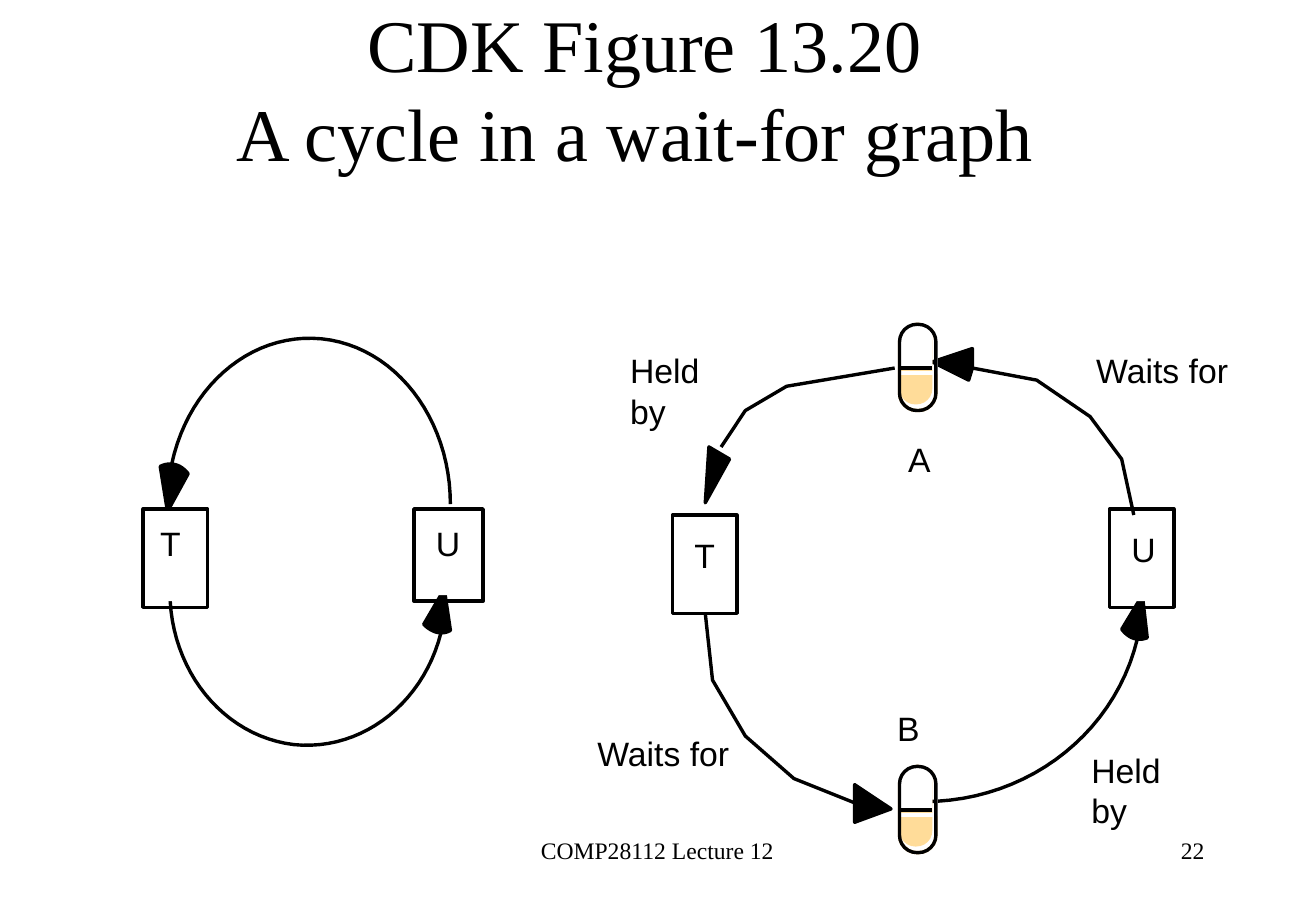
import pptx
import pptx.util
import pptx.dml.color
import pptx.enum.shapes
import pptx.enum.text
import pptx.oxml

Inches = pptx.util.Inches
Kind = pptx.enum.shapes.MSO_SHAPE
Align = pptx.enum.text.PP_ALIGN
Anchor = pptx.enum.text.MSO_ANCHOR

COLOURS = {"ink": "000000", "paper": "FFFFFF", "liquid": "FFDC99"}
LINE_WIDTH = 2
CURVE_STEPS = 24

# Page text: text, (left, top, width, height), size, alignment, anchor
PAGE_TEXT = [
    ("CDK Figure 13.20\vA cycle in a wait-for graph ", (0.45, 0.36, 9.72, 1.14), 44,
     Align.CENTER, Anchor.BOTTOM),
    ("COMP28112 Lecture 12", (3.7, 6.83, 3.43, 0.5), 14, Align.CENTER, Anchor.TOP),
    ("22", (7.76, 6.83, 2.26, 0.5), 14, Align.RIGHT, Anchor.TOP),
]

# Diagram labels: text, left, top, width
LABELS = [
    ("Held by", 5.19, 2.88, 0.94),
    ("Waits for", 9.03, 2.88, 1.1),
    ("Waits for", 4.92, 6.03, 1.1),
    ("Held by", 8.99, 6.17, 0.94),
    ("A", 7.48, 3.61, 0.19),
    ("B", 7.39, 5.83, 0.19),
    ("T", 1.32, 4.3, 0.17),
    ("U", 3.59, 4.3, 0.2),
    ("T", 5.72, 4.4, 0.17),
    ("U", 9.32, 4.35, 0.2),
]
LABEL_HEIGHT = 0.33

# Transactions: left, top, size of white face, size of frame
TRANSACTIONS = [
    (1.18, 4.19, (0.5, 0.76), (0.53, 0.81)),
    (3.41, 4.19, (0.54, 0.71), (0.57, 0.76)),
    (5.54, 4.24, (0.5, 0.76), (0.53, 0.81)),
    (9.14, 4.19, (0.5, 0.76), (0.53, 0.81)),
]

# Objects A and B: left, top of each tube
TUBES = [(7.41, 2.67), (7.41, 6.31)]

# Curves: start, then cubic segments of two control points and an end
ARCS = [
    [(1.4, 3.9), (1.51, 3.21), (2.05, 2.73), (2.65, 2.79),
     (3.25, 2.85), (3.71, 3.44), (3.71, 4.15)],
    [(3.65, 5.13), (3.53, 5.76), (3.0, 6.19), (2.42, 6.13),
     (1.84, 6.06), (1.4, 5.52), (1.4, 4.87)],
    [(9.39, 5.16), (9.24, 6.0), (8.49, 6.6), (7.61, 6.6)],
]

# Heads of the curves: one cubic segment for the base, then the tip
ARC_HEADS = [
    ([(1.32, 3.84), (1.4, 3.8), (1.49, 3.82), (1.55, 3.9)], (1.38, 4.21)),
    ([(3.71, 5.19), (3.64, 5.23), (3.56, 5.21), (3.49, 5.14)], (3.66, 4.85)),
    ([(9.45, 5.25), (9.38, 5.28), (9.3, 5.26), (9.24, 5.18)], (9.41, 4.9)),
]

# Bent arrows: points of the line, corners of the head
BENT_ARROWS = [
    ([(8.01, 3.03), (8.54, 3.13), (8.98, 3.43), (9.24, 3.78), (9.34, 4.24)],
     [(7.98, 3.13), (7.68, 2.98), (8.01, 2.87), (8.01, 3.03)]),
    ([(7.04, 6.61), (6.54, 6.41), (6.14, 6.06), (5.87, 5.6), (5.81, 5.05)],
     [(7.04, 6.46), (7.34, 6.66), (7.04, 6.77)]),
    ([(5.94, 3.68), (6.14, 3.38), (6.48, 3.18), (7.37, 3.03)],
     [(6.01, 3.78), (5.81, 4.14), (5.84, 3.68)]),
]

deck = pptx.Presentation()
deck.slide_width, deck.slide_height = Inches(10.84), Inches(7.5)
page = deck.slides.add_slide(deck.slide_layouts[6])


def colour(name):
    return pptx.dml.color.RGBColor.from_string(COLOURS[name])


def paint(shape, fill=None, line=None):
    shape.shadow.inherit = False
    if fill:
        shape.fill.solid()
        shape.fill.fore_color.rgb = colour(fill)
    else:
        shape.fill.background()
    if line:
        shape.line.color.rgb = colour(line)
        shape.line.width = pptx.util.Pt(LINE_WIDTH)
    else:
        shape.line.fill.background()


def add_block(kind, left, top, size, fill=None, line=None):
    block = page.shapes.add_shape(kind, *map(Inches, (left, top, *size)))
    if kind == Kind.ROUNDED_RECTANGLE:
        block.adjustments[0] = 0.48
    paint(block, fill, line)


def add_outline(points, closed=False, fill=None):
    corners = [(Inches(x), Inches(y)) for x, y in points]
    builder = page.shapes.build_freeform(*corners[0])
    builder.add_line_segments(corners[1:], close=closed)
    paint(builder.convert_to_shape(), fill, "ink")


def curve_points(controls):
    points = [controls[0]]
    for first in range(0, len(controls) - 1, 3):
        segment = controls[first:first + 4]
        for step in range(1, CURVE_STEPS + 1):
            t = step / CURVE_STEPS
            weights = ((1 - t) ** 3, 3 * t * (1 - t) ** 2, 3 * t * t * (1 - t), t ** 3)
            points.append(tuple(sum(w * p[axis] for w, p in zip(weights, segment))
                                for axis in (0, 1)))
    return points


def add_text(text, place, frame_format, font_format, align=Align.LEFT):
    box = page.shapes.add_textbox(*map(Inches, place))
    for name, value in frame_format.items():
        setattr(box.text_frame, name, value)
    para = box.text_frame.paragraphs[0]
    para.text = text
    para.alignment = align
    for name, value in font_format.items():
        setattr(para.font, name, value)
    para.font.color.rgb = colour("ink")


# Title and footer
for text, place, size, align, anchor in PAGE_TEXT:
    add_text(text, place, {"word_wrap": True, "vertical_anchor": anchor},
             {"name": "Times New Roman", "size": pptx.util.Pt(size)}, align)

# Curved arrows
for arc in ARCS:
    add_outline(curve_points(arc))
for base, tip in ARC_HEADS:
    add_outline(curve_points(base) + [tip], closed=True, fill="ink")

# Transactions
for left, top, face, frame in TRANSACTIONS:
    add_block(Kind.RECTANGLE, left, top, face, fill="paper")
    add_block(Kind.RECTANGLE, left, top, frame, line="ink")

# Bent arrows
for route, head in BENT_ARROWS:
    add_outline(head, closed=True, fill="ink")
    add_outline(route)

# Half-filled tubes
for left, top in TUBES:
    add_block(Kind.ROUNDED_RECTANGLE, left, top, (0.27, 0.66), fill="liquid")
    add_block(Kind.ROUNDED_RECTANGLE, left, top, (0.3, 0.71), line="liquid")
    add_block(Kind.RECTANGLE, left, top, (0.27, 0.35), fill="paper")
    add_block(Kind.RECTANGLE, left, top, (0.3, 0.4), line="paper")
    add_block(Kind.ROUNDED_RECTANGLE, left, top, (0.3, 0.71), line="ink")
    level = page.shapes.add_connector(
        pptx.enum.shapes.MSO_CONNECTOR.STRAIGHT,
        *map(Inches, (left, top + 0.36, left + 0.27, top + 0.36)))
    level.line.color.rgb = colour("ink")
    level.line.width = pptx.util.Pt(LINE_WIDTH)
    level._element.spPr.append(pptx.oxml.parse_xml(
        '<a:effectLst xmlns:a="http://schemas.openxmlformats.org/drawingml/2006/main"/>'))

# Diagram labels
LABEL_FRAME = {"margin_left": 0, "margin_top": 0, "margin_right": 0, "margin_bottom": 0,
               "word_wrap": False,
               "auto_size": pptx.enum.text.MSO_AUTO_SIZE.SHAPE_TO_FIT_TEXT}
for text, left, top, width in LABELS:
    add_text(text, (left, top, width, LABEL_HEIGHT), LABEL_FRAME,
             {"name": "Arial", "size": pptx.util.Pt(20)})

deck.save("out.pptx")
